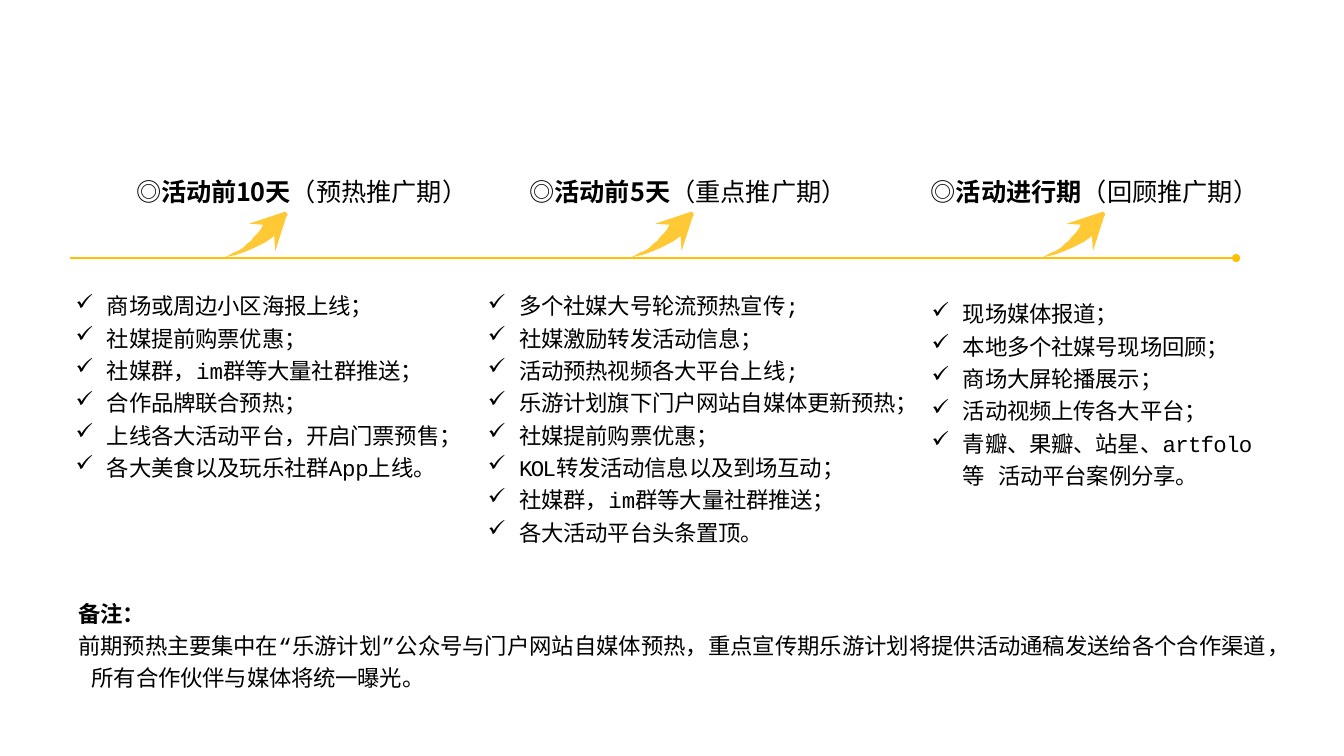
from lxml import etree
from pptx import Presentation
from pptx.dml.color import RGBColor
from pptx.enum.shapes import MSO_CONNECTOR, MSO_SHAPE
from pptx.enum.text import MSO_ANCHOR, MSO_AUTO_SIZE, PP_ALIGN
from pptx.oxml.ns import qn
from pptx.util import Emu, Pt

LEFT, TOP = PP_ALIGN.LEFT, MSO_ANCHOR.TOP
GROW = MSO_AUTO_SIZE.SHAPE_TO_FIT_TEXT
STRAIGHT, OVAL = MSO_CONNECTOR.STRAIGHT, MSO_SHAPE.OVAL

# Content: plain text, or (text, letter spacing in points)
SC, TC, MONO = "Noto Sans CJK SC", "Noto Sans CJK TC", "Courier New"
BLACK, LINE, ARROW = "000000", "FFC000", "FFC835"
GROUP_PUSH = ["社媒群", ("，im", 0.1), "群等大量社群推送；"]

PHASES = [
    {
        "head": [("活动前", 0), ("10", -0.8), ("天", 0.1)],
        "period": "（预热推广期）",
        "head_box": (135, 331), "list_box": (73, 283, 389, 195), "arrow": 221,
        "items": [
            ["商场或周边小区海报上线；"],
            ["社媒提前购票优惠；"],
            GROUP_PUSH,
            ["合作品牌联合预热；"],
            ["上线各大活动平台，开启门票预售；"],
            ["各大美食以及玩乐社群App上线。"],
        ],
    },
    {
        "head": [("活动前", 0), ("5", -0.8), ("天", 0)],
        "period": "（重点推广期）",
        "head_box": (525, 317), "list_box": (482, 283, 433, 259), "arrow": 624,
        "items": [
            ["多个社媒大号轮流预热宣传", (";", -0.9)],
            ["社媒激励转发活动信息；"],
            ["活动预热视频各大平台上线", (";", -0.9)],
            ["乐游计划旗下门户网站自媒体更新预热；"],
            ["社媒提前购票优惠；"],
            [("KOL", -1.2), "转发活动信息以及到场互动；"],
            GROUP_PUSH,
            ["各大活动平台头条置顶。"],
        ],
    },
    {
        "head": [("活动进行期", 0)],
        "period": "（回顾推广期）",
        "head_box": (923, 328), "list_box": (922, 291, 337, 195), "arrow": 1032,
        "items": [
            ["现场媒体报道；"],
            ["本地多个社媒号现场回顾；"],
            ["商场大屏轮播展示；"],
            ["活动视频上传各大平台；"],
            ["青瓣、果瓣、站星、", ("artfolo", -0.5), "等 活动平台案例分享。"],
        ],
    },
]
NOTE_HEAD = ["备注："]
NOTE = [("前期预热主要集中在", -0.1), ("“", 0.3), ("乐游计划", 0), ("”", 0.4),
        ("公众号与门户网站自媒体预热，重点宣传期乐游计划将提供活动通稿发送给各个合作渠道", 0),
        "， 所有合作伙伴与媒体将统一曝光。"]

# Grid: 100 units to the inch
UNIT = 9144
SLIDE = (1333, 750)
HEAD_TOP, HEAD_H = 174, 33
ARROW_TOP, AXIS_Y = 210, 256
AXIS_X, AXIS_END, DOT = 69, 1226, 8
NOTE_BOX = (78, 588, 1196, 99)
INDENT, HANG = 33, -31
ARROW_OUTLINE = [
    (62, 0), (59, 1), (26, 12), (40, 13), (38, 17), (35, 21), (31, 25), (28, 29),
    (24, 32), (20, 36), (15, 39), (10, 41), (5, 44), (0, 46), (8, 44), (13, 43),
    (19, 41), (24, 39), (31, 36), (37, 33), (43, 30), (50, 25), (51, 24), (52, 39),
    (55, 30), (62, 8), (63, 5), (64, 4), (64, 2), (63, 1),
]


def units(*values):
    return [Emu(v * UNIT) for v in values]


def color(hex_text):
    return RGBColor.from_string(hex_text)


def fill_plain(s, hex_text):
    s.shadow.inherit = False
    s.fill.solid()
    s.fill.fore_color.rgb = color(hex_text)
    s.line.fill.background()


def prepare(s, box, inset):
    s.left, s.top, s.width, s.height = units(*box)
    tf = s.text_frame
    frame = {"word_wrap": True, "auto_size": GROW, "vertical_anchor": TOP,
             "margin_left": 0, "margin_right": 0, "margin_bottom": 0,
             "margin_top": units(inset)[0]}
    for key, value in frame.items():
        setattr(tf, key, value)
    return tf


def add_runs(p, parts, size, font, bold=False, spacing=-0.1):
    for part in parts:
        text, spc = (part, spacing) if isinstance(part, str) else part
        r = p.add_run()
        r.text = text
        for key, value in {"size": Pt(size), "bold": bold, "name": font}.items():
            setattr(r.font, key, value)
        r.font.color.rgb = color(BLACK)
        rPr = r._r.get_or_add_rPr()
        rPr.set("spc", str(round(spc * 100)))
        for tag in ("a:ea", "a:cs"):
            etree.SubElement(rPr, qn(tag), typeface=font)


def add_check(p):
    pPr = p._p.get_or_add_pPr()
    pPr.set("marL", str(INDENT * UNIT))
    pPr.set("indent", str(HANG * UNIT))
    etree.SubElement(pPr, qn("a:buChar"), char="✓")
    tabs = etree.SubElement(pPr, qn("a:tabLst"))
    etree.SubElement(tabs, qn("a:tab"), pos=str(INDENT * UNIT), algn="l")


def add_box(slide, box):
    return prepare(slide.shapes.add_textbox(0, 0, 0, 0), box, 7)


def add_axis(slide):
    c = slide.shapes.add_connector(STRAIGHT, *units(AXIS_X, AXIS_Y, AXIS_END, AXIS_Y))
    c.line.color.rgb = color(LINE)
    c.line.width = Pt(1)
    etree.SubElement(c._element.spPr, qn("a:effectLst"))
    half = DOT // 2
    dot = slide.shapes.add_shape(OVAL, *units(AXIS_END - half, AXIS_Y - half, DOT, DOT))
    fill_plain(dot, LINE)


def add_arrow(slide, left):
    points = [(left + x, ARROW_TOP + y) for x, y in ARROW_OUTLINE]
    outline = slide.shapes.build_freeform(*points[0], scale=UNIT)
    outline.add_line_segments(points[1:], close=True)
    fill_plain(outline.convert_to_shape(), ARROW)


def add_heading(s, phase):
    left, width = phase["head_box"]
    p = prepare(s, (left, HEAD_TOP, width, HEAD_H), 1).paragraphs[0]
    p.alignment = LEFT
    add_runs(p, ["◎"], 18, SC)
    add_runs(p, phase["head"], 18, TC, bold=True)
    add_runs(p, [phase["period"]], 18, MONO, spacing=0)


def add_list(slide, phase):
    tf = add_box(slide, phase["list_box"])
    for i, parts in enumerate(phase["items"]):
        p = tf.add_paragraph() if i else tf.paragraphs[0]
        p.space_before = Pt(3.9 if i else 0)
        add_check(p)
        add_runs(p, parts, 16, MONO)
    # The wrapped last entry of the closing phase needs looser lines
    if phase is PHASES[-1]:
        p.space_before, p.line_spacing = Pt(0), 1.2


def add_note(slide):
    tf = add_box(slide, NOTE_BOX)
    add_runs(tf.paragraphs[0], NOTE_HEAD, 16, TC, bold=True)
    p = tf.add_paragraph()
    p.line_spacing = 1.2
    add_runs(p, NOTE, 16, MONO)


def main():
    prs = Presentation()
    prs.slide_width, prs.slide_height = units(*SLIDE)
    slide = prs.slides.add_slide(prs.slide_layouts[5])

    # Timeline
    add_axis(slide)

    # Phases: the first heading is the slide title
    for i, phase in enumerate(PHASES):
        add_arrow(slide, phase["arrow"])
        s = slide.shapes.add_textbox(0, 0, 0, 0) if i else slide.shapes.title
        add_heading(s, phase)
        add_list(slide, phase)

    # Remarks
    add_note(slide)
    prs.save("out.pptx")


if __name__ == "__main__":
    main()
